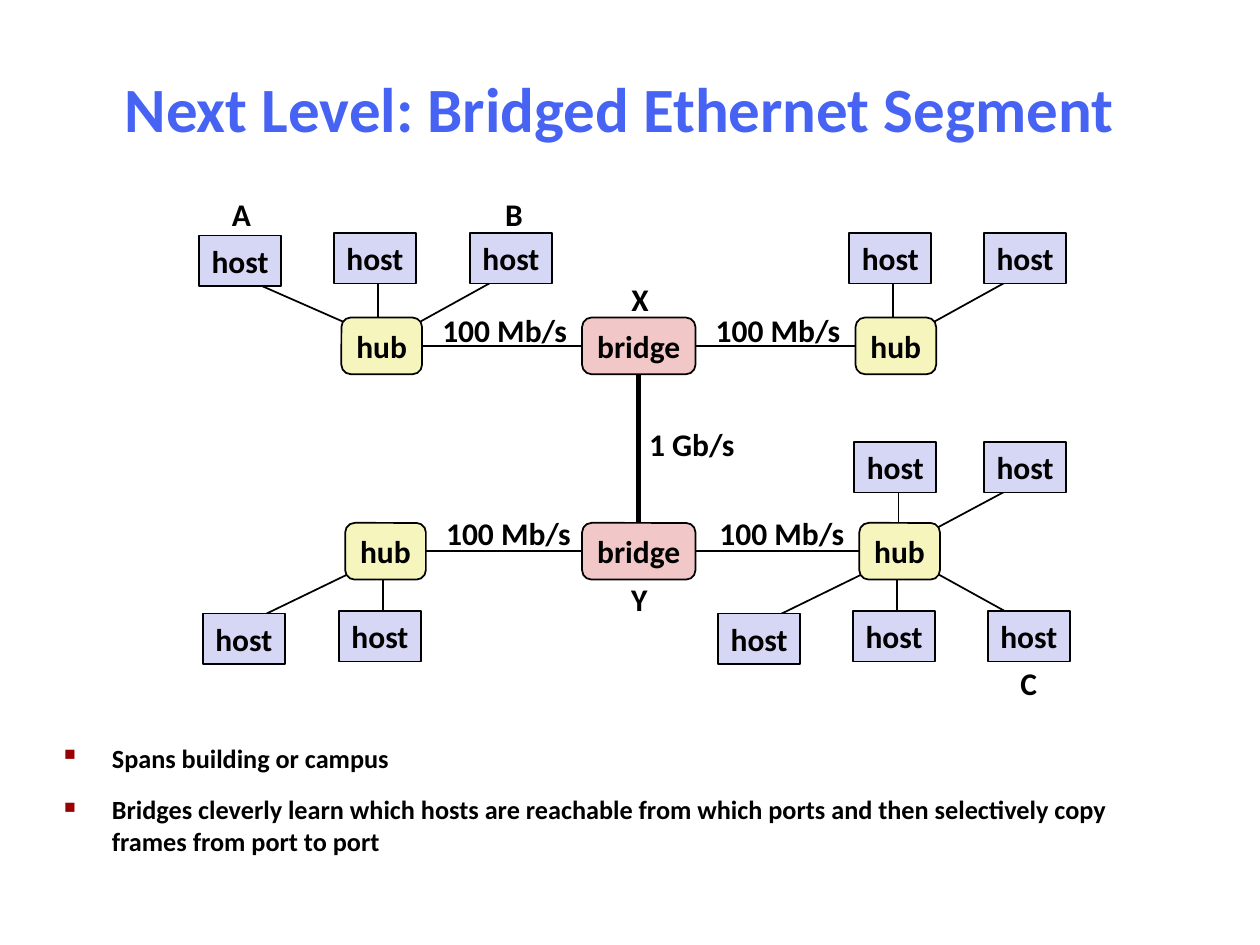
from lxml import etree
from pptx import Presentation
from pptx.dml.color import RGBColor
from pptx.enum.shapes import MSO_CONNECTOR, MSO_SHAPE
from pptx.enum.text import MSO_ANCHOR, MSO_AUTO_SIZE, PP_ALIGN
from pptx.oxml.ns import qn
from pptx.util import Emu, Pt

STRAIGHT = MSO_CONNECTOR.STRAIGHT
RECTANGLE, ROUNDED = MSO_SHAPE.RECTANGLE, MSO_SHAPE.ROUNDED_RECTANGLE
TOP, MIDDLE = MSO_ANCHOR.TOP, MSO_ANCHOR.MIDDLE
LEFT, CENTER = PP_ALIGN.LEFT, PP_ALIGN.CENTER
FIT_SHAPE = MSO_AUTO_SIZE.SHAPE_TO_FIT_TEXT
TOP_SIDE, LEFT_SIDE, BOTTOM_SIDE, RIGHT_SIDE = range(4)

EMU_PER_PX = 9144
FONT = "Calibri"
COLORS = {
    "title": "4763F3",
    "text": "000000",
    "line": "000000",
    "bullet": "990000",
    "host": "D6D6F5",
    "hub": "F6F5BD",
    "bridge": "F1C7C7",
}
NODES = {
    "host": (RECTANGLE, 65, 40),
    "hub": (ROUNDED, 64, 45),
    "bridge": (ROUNDED, 90, 45),
}


def px(*lengths):
    """Turn px lengths into EMU."""
    return [Emu(length * EMU_PER_PX) for length in lengths]


def color(name):
    """Look up a named colour."""
    return RGBColor.from_string(COLORS[name])


def write_text(paragraph, text, size=18, color_name="text", align=CENTER):
    """Write bold text into a paragraph."""
    paragraph.alignment = align
    run = paragraph.add_run()
    run.text = text
    run.font.name = FONT
    run.font.size = Pt(size)
    run.font.bold = True
    run.font.color.rgb = color(color_name)


def add_text_frame(slide, box, anchor=MIDDLE, wrap=True):
    """Add a text box and return its frame."""
    frame = slide.shapes.add_textbox(*px(*box)).text_frame
    frame.word_wrap = wrap
    frame.vertical_anchor = anchor
    return frame


def add_label(slide, text, box):
    """Add a one-line label."""
    frame = add_text_frame(slide, box, wrap=False)
    frame.auto_size = FIT_SHAPE
    write_text(frame.paragraphs[0], text)


def add_node(slide, kind, left, top):
    """Add a host, hub or bridge named by its kind."""
    preset, width, height = NODES[kind]
    shape = slide.shapes.add_shape(preset, *px(left, top, width, height))
    shape.shadow.inherit = False
    shape.fill.solid()
    shape.fill.fore_color.rgb = color(kind)
    shape.line.color.rgb = color("line")
    shape.line.width = Pt(1)
    frame = shape.text_frame
    frame.word_wrap = False
    frame.vertical_anchor = MIDDLE
    write_text(frame.paragraphs[0], kind)
    return shape


def add_line(slide, points=(0, 0, 0, 0), width=1):
    """Add a straight black line between two points."""
    connector = slide.shapes.add_connector(STRAIGHT, *px(*points))
    connector.line.color.rgb = color("line")
    connector.line.width = Pt(width)
    etree.SubElement(connector._element.spPr, qn("a:effectLst"))
    return connector


def join(slide, start, start_side, end, end_side, width=1):
    """Join the sides of two nodes with a line."""
    connector = add_line(slide, width=width)
    connector.begin_connect(start, start_side)
    connector.end_connect(end, end_side)


def add_spoke(slide, left, top, host_left, host_top):
    """Draw the line from a hub at left, top to a host at an offset."""
    above = host_top < 0
    host_y, hub_y = (host_top + 33, 8) if above else (host_top + 8, 36)
    if host_left < -50:
        host_x, hub_x = host_left + 34, 12
    elif host_left > 50:
        host_x, hub_x = host_left + 28, 54
    else:
        host_x = hub_x = host_left + 35
    add_line(slide, (left + host_x, top + host_y, left + hub_x, top + hub_y))


def add_segment(slide, left, top, hosts):
    """Draw a hub at left, top with its hosts at offsets from it."""
    for offset in hosts:
        add_spoke(slide, left, top, *offset)
    for host_left, host_top in hosts:
        add_node(slide, "host", left + host_left, top + host_top)
    return add_node(slide, "hub", left, top)


def add_bridge_row(slide, top, bridge_left, west, east):
    """Draw a bridge between a west and an east hub segment."""
    west_hub = add_segment(slide, west[0], top, west[1])
    east_hub = add_segment(slide, east[0], top, east[1])
    bridge = add_node(slide, "bridge", bridge_left, top)
    join(slide, west_hub, RIGHT_SIDE, bridge, LEFT_SIDE)
    join(slide, bridge, RIGHT_SIDE, east_hub, LEFT_SIDE)
    return bridge


def add_network(slide, left, top):
    """Draw both bridge rows, the trunk and the labels."""
    upper_bridge = add_bridge_row(
        slide, top + 102, left + 304,
        (left + 113, [(-113, -65), (-6, -67), (102, -67)]),
        (left + 521, [(-5, -67), (102, -67)]))
    lower_bridge = add_bridge_row(
        slide, top + 265, left + 304,
        (left + 116, [(-113, 72), (-5, 70)]),
        (left + 524, [(-4, -64), (99, -64),
                      (-112, 72), (-5, 70), (102, 70)]))
    join(slide, upper_bridge, BOTTOM_SIDE, lower_bridge, TOP_SIDE, width=3)
    labels = [
        ("A", 16, 0, 35), ("B", 233, 0, 34), ("C", 642, 372, 33),
        ("X", 333, 67, 34), ("Y", 333, 305, 33), ("1 Gb/s", 347, 182, 88),
        ("100 Mb/s", 183, 92, 119), ("100 Mb/s", 400, 92, 119),
        ("100 Mb/s", 186, 253, 119), ("100 Mb/s", 403, 253, 119),
    ]
    for text, label_left, label_top, width in labels:
        add_label(slide, text, (left + label_left, top + label_top, width, 40))


def add_title(slide, box):
    """Add the slide title."""
    frame = add_text_frame(slide, box)
    write_text(frame.paragraphs[0], "Next Level: Bridged Ethernet Segment",
               size=36, color_name="title")


def add_bullet(paragraph):
    """Give a paragraph a small square bullet and a hanging indent."""
    properties = paragraph._p.get_or_add_pPr()
    indent = 38 * EMU_PER_PX
    properties.set("marL", str(indent))
    properties.set("indent", str(-indent))
    bullet_color = etree.SubElement(properties, qn("a:buClr"))
    etree.SubElement(bullet_color, qn("a:srgbClr"), val=COLORS["bullet"])
    etree.SubElement(properties, qn("a:buSzPct"), val="60000")
    etree.SubElement(properties, qn("a:buChar"), char="■")


def add_notes_list(slide, box):
    """Add the bulleted remarks."""
    frame = add_text_frame(slide, box, anchor=TOP)
    first, second = frame.paragraphs[0], frame.add_paragraph()
    remarks = [
        (first, "Spans building or campus"),
        (second, "Bridges cleverly learn which hosts are reachable from which "
                 "ports and then selectively copy frames from port to port"),
    ]
    for paragraph, text in remarks:
        add_bullet(paragraph)
        write_text(paragraph, text, size=15, align=LEFT)
    first.line_spacing = 0.65
    second.space_before = Pt(12)


def main():
    """Build and save the presentation."""
    presentation = Presentation()
    presentation.slide_width, presentation.slide_height = px(1000, 750)
    slide = presentation.slides.add_slide(presentation.slide_layouts[6])
    add_title(slide, (42, 54, 899, 63))
    add_network(slide, 158, 150)
    add_notes_list(slide, (41, 592, 909, 91))
    presentation.save("out.pptx")


if __name__ == "__main__":
    main()
